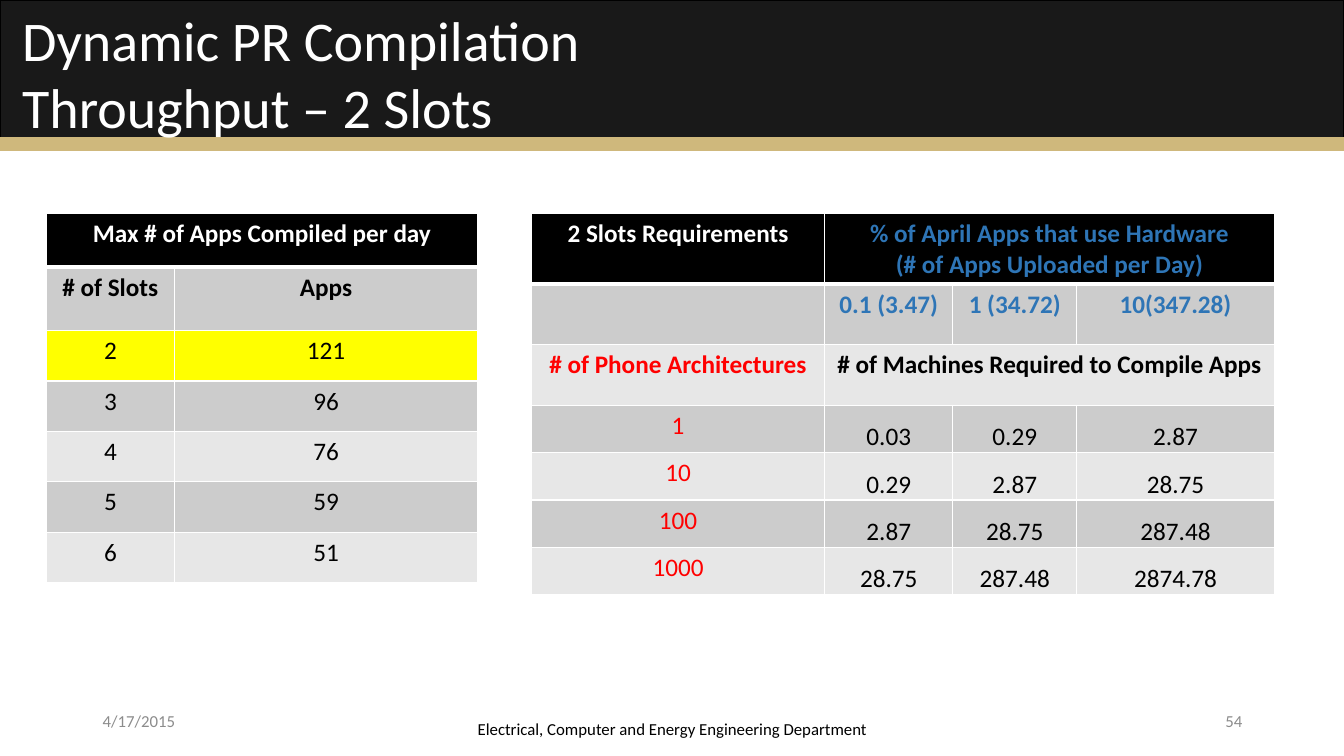
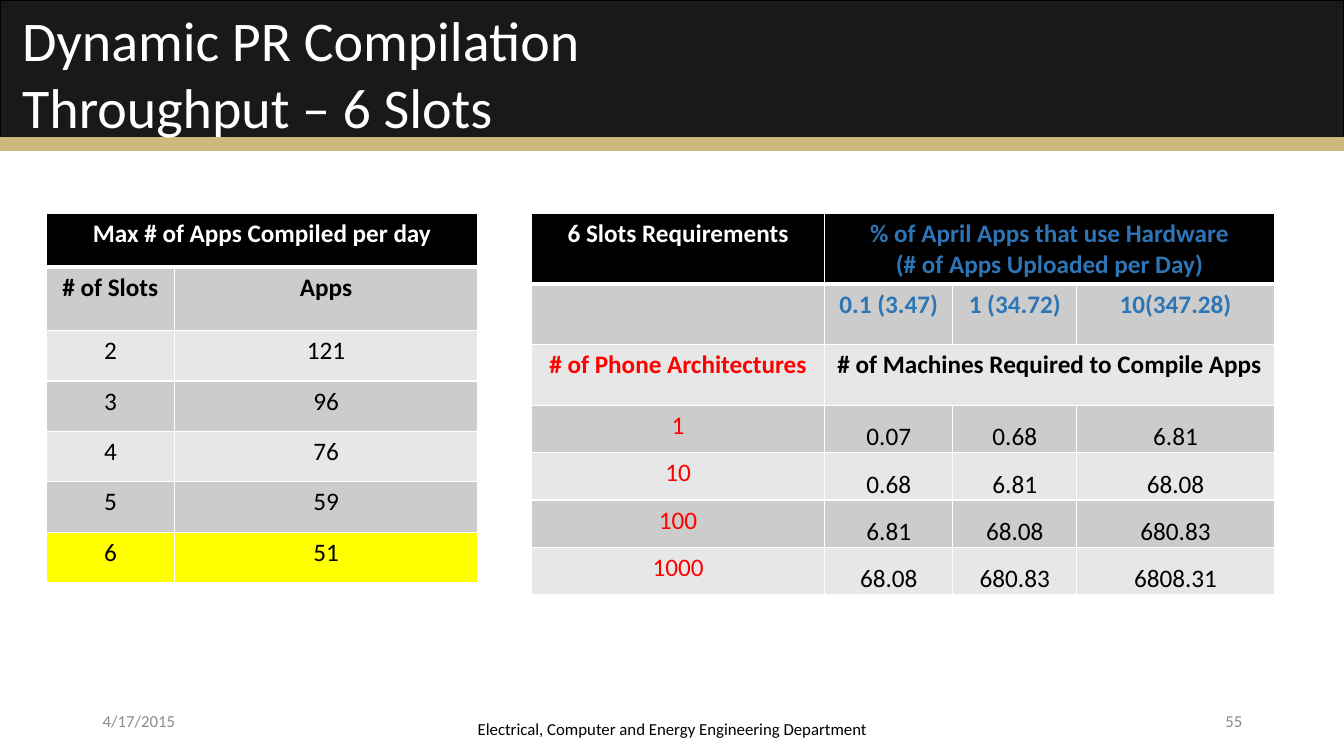
from dataclasses import dataclass

from lxml import etree
from pptx import Presentation
from pptx.dml.color import RGBColor
from pptx.enum import shapes, text
from pptx.oxml import ns
from pptx.util import Inches, Pt

FONT = "Calibri"
BLACK, WHITE, CHARCOAL, GOLD = "000000", "FFFFFF", "191919", "CFB87C"
GRAY, BAND_DARK, BAND_LIGHT = "8C8C8C", "CCCCCC", "E7E7E7"
RED, BLUE, YELLOW = "FF0000", "2E75B6", "FFFF00"
LEFT, CENTER, RIGHT = text.PP_ALIGN.LEFT, text.PP_ALIGN.CENTER, text.PP_ALIGN.RIGHT
TOP, MIDDLE, BOTTOM = text.MSO_ANCHOR.TOP, text.MSO_ANCHOR.MIDDLE, text.MSO_ANCHOR.BOTTOM


@dataclass(frozen=True)
class Box:
    left: float
    top: float
    width: float
    height: float

    def lengths(self) -> tuple:
        return tuple(Inches(v) for v in (self.left, self.top, self.width, self.height))


@dataclass(frozen=True)
class Band:
    box: Box
    fill: str
    line: str


@dataclass(frozen=True)
class Footer:
    box: Box
    text: str
    color: str
    align: text.PP_ALIGN


@dataclass(frozen=True)
class Cell:
    text: str = ""
    color: str = BLACK
    bold: bool = False
    span: int = 1
    tight: bool = False


@dataclass(frozen=True)
class Grid:
    left: float
    top: float
    cols: list[float]
    rows: list[float]
    cells: list[list[Cell]]
    highlight: int | None = None


@dataclass(frozen=True)
class Page:
    number: int
    slots: int
    machines: list[str]


BANDS = [
    Band(Box(0, 0, 13.33, 1.46), CHARCOAL, BLACK),
    Band(Box(0, 1.37, 13.33, 0.12), GOLD, GOLD),
]
TITLE_BOX = Box(0.12, 0, 8.35, 1.45)
APPS_PER_DAY = {2: 121, 3: 96, 4: 76, 5: 59, 6: 51}
UPLOADS = ["0.1 (3.47)", "1 (34.72)", "10(347.28)"]
ARCHITECTURES = ["1", "10", "100", "1000"]
PAGES = [
    Page(54, 2, ["0.03", "0.29", "2.87", "28.75", "287.48", "2874.78"]),
    Page(55, 6, ["0.07", "0.68", "6.81", "68.08", "680.83", "6808.31"]),
]


def rgb(color: str) -> RGBColor:
    return RGBColor.from_string(color)


def write(tf, content: str, *, size: float, color: str = BLACK, bold: bool = False, align=LEFT) -> None:
    for i, line in enumerate(content.split("\n")):
        p = tf.add_paragraph() if i else tf.paragraphs[0]
        p.alignment = align
        r = p.add_run()
        r.text = line
        r.font.name = FONT
        r.font.size = Pt(size)
        r.font.bold = bold
        r.font.color.rgb = rgb(color)


def add_bands(slide) -> None:
    tree = slide.slide_layout.shapes.element
    for i, band in enumerate(BANDS):
        sp = slide.shapes.add_shape(shapes.MSO_SHAPE.RECTANGLE, *band.box.lengths())
        sp.shadow.inherit = False
        sp.fill.solid()
        sp.fill.fore_color.rgb = rgb(band.fill)
        sp.line.color.rgb = rgb(band.line)
        sp.line.width = Pt(1)
        tree.insert(2 + i, sp.element)


def set_title(slide, content: str) -> None:
    sp = slide.shapes.title
    sp.left, sp.top, sp.width, sp.height = TITLE_BOX.lengths()
    tf = sp.text_frame
    tf.word_wrap = True
    tf.auto_size = text.MSO_AUTO_SIZE.SHAPE_TO_FIT_TEXT
    tf.vertical_anchor = TOP
    write(tf, content, size=40, color=WHITE)


def add_footer(slide, footer: Footer) -> None:
    tf = slide.shapes.add_textbox(*footer.box.lengths()).text_frame
    tf.word_wrap = True
    tf.vertical_anchor = MIDDLE
    write(tf, footer.text, size=12, color=footer.color, align=footer.align)


def set_borders(cell, top: float, bottom: float) -> None:
    tc_pr = cell._tc.get_or_add_tcPr()
    widths = {"a:lnL": 1, "a:lnR": 1, "a:lnT": top, "a:lnB": bottom}
    for i, (tag, width) in enumerate(widths.items()):
        ln = etree.Element(ns.qn(tag), w=str(Pt(width)))
        fill = etree.SubElement(ln, ns.qn("a:solidFill"))
        etree.SubElement(fill, ns.qn("a:srgbClr"), val=WHITE)
        tc_pr.insert(i, ln)


def row_fill(row: int, highlight: int | None) -> str:
    if row == highlight:
        return YELLOW
    if row == 0:
        return BLACK
    return BAND_DARK if row % 2 else BAND_LIGHT


def fill_cell(cell, content: Cell) -> None:
    if content.tight:
        cell.vertical_anchor = BOTTOM
        cell.margin_left = cell.margin_right = cell.margin_top = Inches(0.01)
        cell.margin_bottom = 0
    if content.text:
        write(cell.text_frame, content.text, size=18, color=content.color, bold=content.bold, align=CENTER)


def add_grid(slide, grid: Grid) -> None:
    box = Box(grid.left, grid.top, sum(grid.cols), sum(grid.rows))
    table = slide.shapes.add_table(len(grid.rows), len(grid.cols), *box.lengths()).table
    for column, width in zip(table.columns, grid.cols):
        column.width = Inches(width)
    for r, (height, contents) in enumerate(zip(grid.rows, grid.cells)):
        table.rows[r].height = Inches(height)
        for c in range(len(grid.cols)):
            cell = table.cell(r, c)
            cell.fill.solid()
            cell.fill.fore_color.rgb = rgb(row_fill(r, grid.highlight))
            set_borders(cell, top=3 if r == 1 else 1, bottom=3 if r == 0 else 1)
        c = 0
        for content in contents:
            cell = table.cell(r, c)
            if content.span > 1:
                cell.merge(table.cell(r, c + content.span - 1))
            fill_cell(cell, content)
            c += content.span


def apps_grid(page: Page) -> Grid:
    cells = [
        [Cell("Max # of Apps Compiled per day", WHITE, True, span=2)],
        [Cell("# of Slots", bold=True), Cell("Apps", bold=True)],
    ]
    cells += [[Cell(str(slots)), Cell(str(apps))] for slots, apps in APPS_PER_DAY.items()]
    highlight = 2 + list(APPS_PER_DAY).index(page.slots)
    return Grid(0.46, 2.12, [1.27, 3.01], [0.53, 0.63] + [0.5] * 5, cells, highlight)


def machines_grid(page: Page) -> Grid:
    uploads_title = "% of April Apps that use Hardware\n(# of Apps Uploaded per Day)"
    cells = [
        [Cell(f"{page.slots} Slots Requirements", WHITE, True), Cell(uploads_title, BLUE, True, span=3)],
        [Cell()] + [Cell(upload, BLUE, True) for upload in UPLOADS],
        [
            Cell("# of Phone Architectures", RED, True),
            Cell("# of Machines Required to Compile Apps", bold=True, span=3),
        ],
    ]
    for i, count in enumerate(ARCHITECTURES):
        values = page.machines[i:i + len(UPLOADS)]
        cells.append([Cell(count, RED)] + [Cell(value, tight=True) for value in values])
    return Grid(5.27, 2.12, [2.91, 1.27, 1.23, 1.96], [0.6] * 3 + [0.47] * 4, cells)


def add_page(slide, page: Page) -> None:
    set_title(slide, f"Dynamic PR Compilation Throughput – {page.slots} Slots")
    department = "Electrical, Computer and Energy Engineering Department"
    for footer in (
        Footer(Box(0.92, 6.95, 3, 0.4), "4/17/2015", GRAY, LEFT),
        Footer(Box(4.42, 6.95, 4.5, 0.55), department, BLACK, CENTER),
        Footer(Box(9.42, 6.95, 3, 0.4), str(page.number), GRAY, RIGHT),
    ):
        add_footer(slide, footer)
    add_grid(slide, apps_grid(page))
    add_grid(slide, machines_grid(page))


def main() -> None:
    prs = Presentation()
    prs.slide_width, prs.slide_height = Inches(13.33), Inches(7.5)
    layout = prs.slide_layouts[5]
    slides = [prs.slides.add_slide(layout) for _ in PAGES]
    add_bands(slides[0])
    for slide, page in zip(slides, PAGES):
        add_page(slide, page)
    prs.save("out.pptx")


if __name__ == "__main__":
    main()
